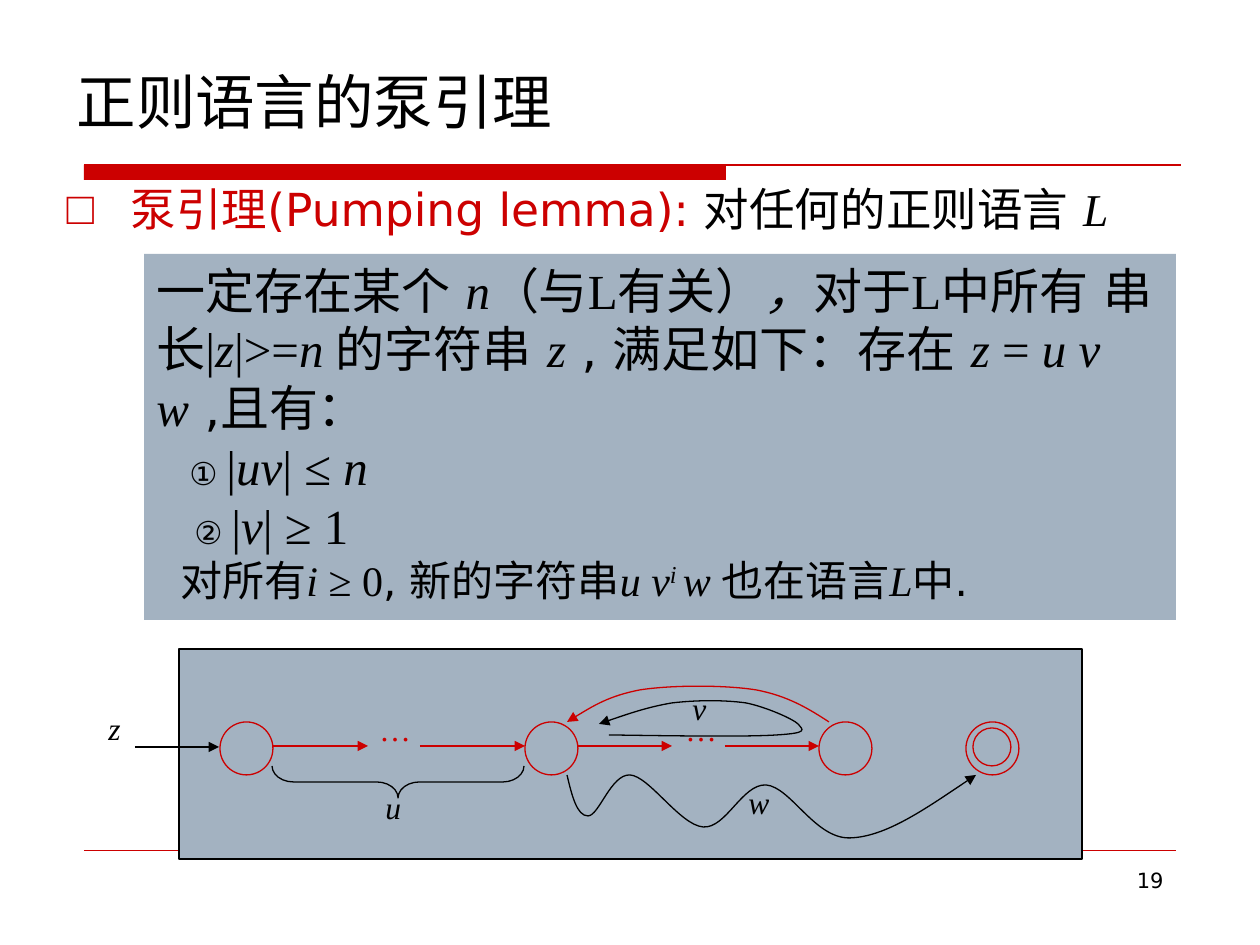
"""Build the slide that states and sketches the pumping lemma for regular languages."""
import lxml.etree
import pptx
import pptx.dml.color
import pptx.enum.shapes
import pptx.enum.text
import pptx.oxml.ns
import pptx.util

PX = 914400 // 126
THEME = {
    "red": "CC0000", "black": "000000", "panel": "A3B2C1",
    "sans": "DejaVu Sans", "serif": "Times New Roman", "marker": "Arial",
    "title": 34, "lead": 26, "body": 28, "closing": 24, "small": 18, "number": 12,
}
STYLES = {
    "sans": ("sans", False, 0), "serif": ("serif", False, 0), "marker": ("marker", False, 0),
    "italic": ("serif", True, 0), "super": ("serif", True, 30000),
}

TITLE = [("正则语言的泵引理", "sans", "title", "black")]
LEAD = [("泵引理(Pumping lemma): ", "sans", "lead", "red"),
        ("对任何的正则语言 ", "sans", "lead", "black"), ("L", "italic", "lead", "black")]
PAGE_NUMBER = [("19", "sans", "number", "black")]
STATEMENT = [
    (0, "body", [("一定存在某个 ", "sans"), ("n", "italic"), ("（与L有关）", "serif"), ("，", "italic"),
                 ("对于L中所有 串长|", "serif"), ("z", "italic"), ("|>=", "serif"), ("n ", "italic"),
                 ("的字符串 ", "serif"), ("z", "italic"), (" , 满足如下：存在 ", "sans"),
                 ("z", "italic"), (" = ", "serif"), ("u v w", "italic"), (" ,且有：", "sans")]),
    (33, "body", [("① ", "marker"), ("|", "serif"), ("uv", "italic"), ("| ≤ ", "serif"), ("n", "italic")]),
    (38, "body", [("② ", "marker"), ("|", "serif"), ("v", "italic"), ("| ≥ 1", "serif")]),
    (24, "closing", [("对所有", "sans"), ("i ", "italic"), ("≥ 0", "serif"), (", 新的字符串", "sans"),
                     ("u v", "italic"), ("i ", "super"), ("w ", "italic"), ("也在语言", "sans"),
                     ("L", "italic"), ("中", "serif"), (".", "sans")]),
]

STATES = [(220, 722, 53), (525, 722, 53), (819, 722, 53), (966, 722, 53), (973, 728, 38)]
ARROWS = [(135, 219, 747, "black"), (273, 368, 746, "red"), (420, 525, 746, "red"),
          (577, 672, 746, "red"), (725, 819, 746, "red")]
LABELS = [("z", 96, 703, 42, "italic", "black"), ("…", 673, 704, 52, "serif", "red"),
          ("…", 367, 704, 52, "serif", "red"), ("u", 373, 782, 44, "italic", "black"),
          ("v", 680, 683, 42, "italic", "black"), ("w", 736, 777, 50, "italic", "black")]
CURVES = [
    ("red", [(829, 722), (809, 709), (788, 696), (756, 690), (725, 685), (672, 685), (640, 690),
             (609, 696), (588, 709), (567, 722)]),
    ("black", [(567, 775), (572, 796), (577, 816), (588, 816), (599, 816), (611, 774), (630, 775),
               (649, 776), (680, 825), (703, 827), (726, 829), (742, 784), (766, 785),
               (791, 787), (815, 839), (850, 838), (886, 837), (931, 805), (976, 775)]),
    ("black", [(609, 735), (677, 736), (746, 737), (777, 735), (809, 733), (803, 730), (798, 724),
               (793, 719), (766, 707), (746, 703), (725, 700), (697, 700), (672, 703),
               (648, 707), (622, 716), (599, 724)]),
]


def color(name):
    return pptx.dml.color.RGBColor.from_string(THEME[name])


def scaled(*lengths):
    return [length * PX for length in lengths]


def sub(parent, tag, **attributes):
    return lxml.etree.SubElement(parent, pptx.oxml.ns.qn(tag), attributes)


def add_runs(paragraph, runs):
    for text, style, size, ink in runs:
        family, italic, baseline = STYLES[style]
        run = paragraph.add_run()
        run.text = text
        run.font.size = pptx.util.Pt(THEME[size])
        run.font.italic = italic
        run.font.color.rgb = color(ink)
        run.font.name = THEME[family]
        properties = run._r.get_or_add_rPr()
        sub(properties, "a:ea", typeface=THEME["sans"])
        if baseline:
            properties.set("baseline", str(baseline))


def set_line(shape, ink, width=0.75, arrow=False):
    shape.line.color.rgb = color(ink)
    shape.line.width = pptx.util.Pt(width)
    if arrow:
        sub(shape.line._get_or_add_ln(), "a:tailEnd", type="triangle")


def add_line(slide, start, end, ink, width=0.75, arrow=False):
    connector = slide.shapes.add_connector(
        pptx.enum.shapes.MSO_CONNECTOR.STRAIGHT, *scaled(*start, *end))
    set_line(connector, ink, width, arrow)
    sub(connector._element.spPr, "a:effectLst")


def add_shape(slide, kind, box, fill=None, ink=None):
    shape = slide.shapes.add_shape(getattr(pptx.enum.shapes.MSO_SHAPE, kind), *scaled(*box))
    shape.shadow.inherit = False
    if fill:
        shape.fill.solid()
        shape.fill.fore_color.rgb = color(fill)
    else:
        shape.fill.background()
    if ink:
        set_line(shape, ink)
    else:
        shape.line.fill.background()
    return shape


def add_curve(slide, ink, points):
    builder = slide.shapes.build_freeform(*points[0], scale=PX)
    builder.add_line_segments(points[1:], close=False)
    shape = builder.convert_to_shape()
    shape.shadow.inherit = False
    shape.fill.background()
    set_line(shape, ink, arrow=True)
    outline = shape._element.find(".//" + pptx.oxml.ns.qn("a:path"))
    segments = outline.findall(pptx.oxml.ns.qn("a:lnTo"))
    for first in range(0, len(segments), 3):
        bezier = sub(outline, "a:cubicBezTo")
        for segment in segments[first:first + 3]:
            bezier.append(segment[0])
            outline.remove(segment)


def add_text(slide, box, runs, alignment, wrap):
    frame = slide.shapes.add_textbox(*scaled(*box)).text_frame
    frame.word_wrap = wrap
    frame.paragraphs[0].alignment = alignment
    add_runs(frame.paragraphs[0], runs)


def fill_placeholder(shape, box, anchor, runs):
    shape.left, shape.top, shape.width, shape.height = scaled(*box)
    frame = shape.text_frame
    frame.auto_size = pptx.enum.text.MSO_AUTO_SIZE.NONE
    frame.vertical_anchor = anchor
    paragraph = frame.paragraphs[0]
    paragraph.alignment = pptx.enum.text.PP_ALIGN.LEFT
    paragraph.space_before = pptx.util.Pt(0)
    add_runs(paragraph, runs)
    return paragraph


def add_statement(slide):
    frame = add_shape(slide, "RECTANGLE", (144, 254, 1032, 366), fill="panel").text_frame
    frame.word_wrap = True
    frame.vertical_anchor = pptx.enum.text.MSO_ANCHOR.TOP
    for number, (indent, size, runs) in enumerate(STATEMENT):
        paragraph = frame.add_paragraph() if number else frame.paragraphs[0]
        paragraph.alignment = pptx.enum.text.PP_ALIGN.LEFT
        paragraph._p.get_or_add_pPr().set("marL", str(indent * PX))
        add_runs(paragraph, [(text, style, "small" if style == "marker" else size, "black")
                             for text, style in runs])


def add_automaton(slide):
    add_shape(slide, "RECTANGLE", (179, 649, 903, 210), fill="panel", ink="black")
    for left, top, diameter in STATES:
        add_shape(slide, "OVAL", (left, top, diameter, diameter), ink="red")
    for start, end, height, ink in ARROWS:
        add_line(slide, (start, height), (end, height), ink, arrow=True)
    for ink, points in CURVES:
        add_curve(slide, ink, points)
    brace = add_shape(slide, "RIGHT_BRACE", (382, 656, 32, 252), ink="black")
    brace.rotation = 90
    brace.adjustments[0] = 0.67
    for text, left, top, width, style, ink in LABELS:
        add_text(slide, (left, top, width, 50), [(text, style, "small", ink)],
                 pptx.enum.text.PP_ALIGN.LEFT, False)


def main():
    presentation = pptx.Presentation()
    presentation.slide_width, presentation.slide_height = scaled(1260, 945)
    slide = presentation.slides.add_slide(presentation.slide_layouts[1])
    anchors = pptx.enum.text.MSO_ANCHOR
    fill_placeholder(slide.shapes.title, (64, 55, 1152, 91), anchors.MIDDLE, TITLE)
    lead = fill_placeholder(slide.placeholders[1], (54, 175, 1152, 77), anchors.TOP, LEAD)
    properties = lead._p.get_or_add_pPr()
    properties.set("marL", str(64 * PX))
    properties.set("indent", str(-64 * PX))
    sub(sub(properties, "a:buClr"), "a:srgbClr", val=THEME["red"])
    sub(properties, "a:buChar", char="□")
    add_shape(slide, "RECTANGLE", (84, 165, 642, 15), fill="red")
    add_line(slide, (84, 165), (1181, 165), "red")
    add_line(slide, (84, 850), (1176, 850), "red", width=0.25)
    add_text(slide, (903, 861, 273, 65), PAGE_NUMBER, pptx.enum.text.PP_ALIGN.RIGHT, True)
    add_statement(slide)
    add_automaton(slide)
    presentation.save("out.pptx")


if __name__ == "__main__":
    main()
